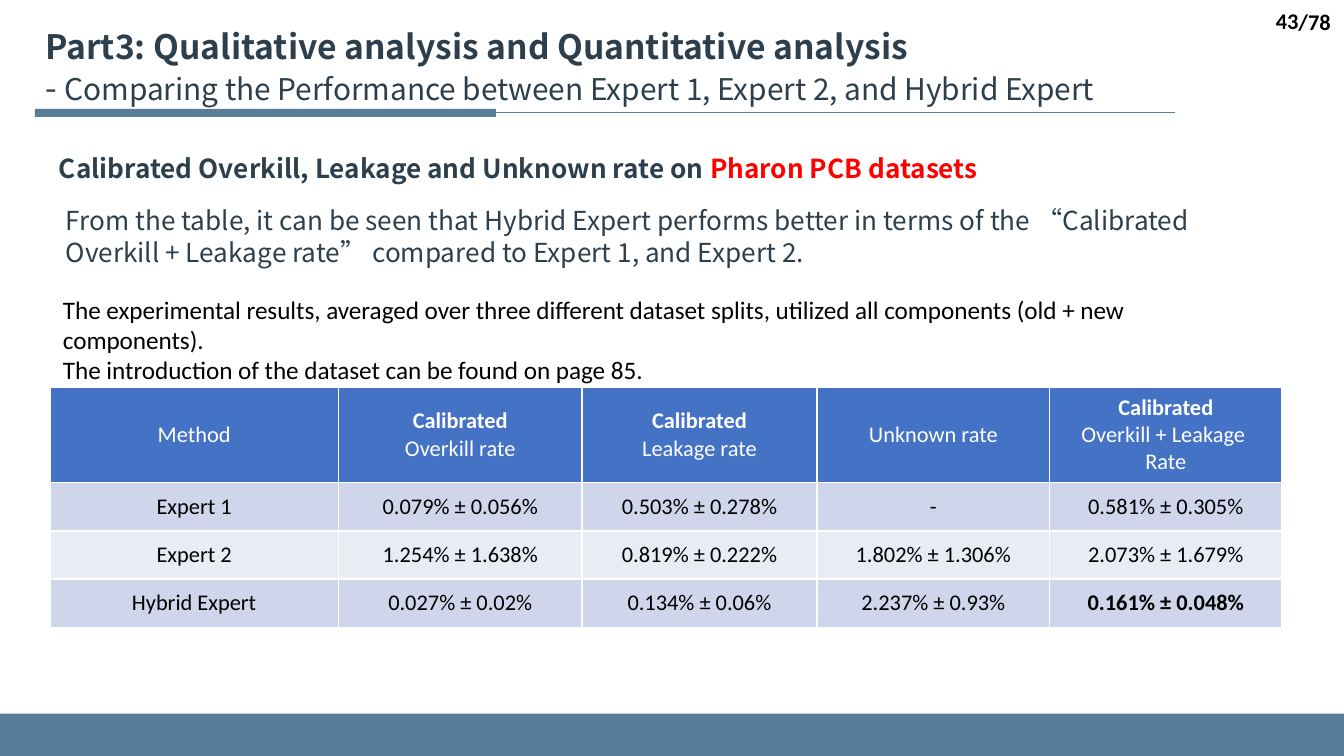
"""Build the slide that compares Expert 1, Expert 2 and Hybrid Expert."""
from lxml.etree import SubElement
from pptx import Presentation
from pptx.dml.color import RGBColor
from pptx.enum.shapes import MSO_CONNECTOR as Connector, MSO_SHAPE as Shape
from pptx.enum.text import MSO_ANCHOR as Anchor, PP_ALIGN as Align
from pptx.oxml.ns import qn
from pptx.util import Inches, Pt

STEEL = RGBColor(0x59, 0x7D, 0x98)
NAVY = RGBColor(0x2D, 0x3F, 0x4C)
RED = RGBColor(0xFF, 0, 0)
BLACK = RGBColor(0, 0, 0)
WHITE = RGBColor(0xFF, 0xFF, 0xFF)
HEADER_BLUE = RGBColor(0x44, 0x72, 0xC4)
BANDS = [RGBColor(0xCF, 0xD5, 0xEA), RGBColor(0xE9, 0xEB, 0xF5)]
NOTO, CALIBRI = "Noto Sans CJK SC", "Calibri"

TITLE = "Part3: Qualitative analysis and Quantitative analysis"
SUBTITLE = "Comparing the Performance between Expert 1, Expert 2, and Hybrid Expert"
HEADING = "Calibrated Overkill, Leakage and Unknown rate on "
DATASET = "Pharon PCB datasets"
FINDING = ("From the table, it can be seen that Hybrid Expert performs better in terms of the "
           "“Calibrated Overkill + Leakage rate” compared to Expert 1, and Expert 2.")
SETUP = [
    "The experimental results, averaged over three different dataset splits, "
    "utilized all components (old + new components).",
    "The introduction of the dataset can be found on page 85.",
]
PAGE, PAGE_TOTAL = "43", "/78"
COLUMNS = [
    (["Method"], 2.15),
    (["Calibrated", "Overkill rate"], 1.81),
    (["Calibrated", "Leakage rate"], 1.75),
    (["Unknown rate"], 1.73),
    (["Calibrated", "Overkill + Leakage ", "Rate"], 1.73),
]
RESULTS = [
    ["Expert 1", "0.079% ± 0.056%", "0.503% ± 0.278%", "-", "0.581% ± 0.305%"],
    ["Expert 2", "1.254% ± 1.638%", "0.819% ± 0.222%", "1.802% ± 1.306%", "2.073% ± 1.679%"],
    ["Hybrid Expert", "0.027% ± 0.02%", "0.134% ± 0.06%", "2.237% ± 0.93%", "0.161% ± 0.048%"],
]
BEST = "0.161% ± 0.048%"
HEADER_HEIGHT, ROW_HEIGHT = 0.7, 0.36
SLIDE_WIDTH = 10
SLIDE_HEIGHT = SLIDE_WIDTH * 9 / 16


def set_font(font, name, size, color, bold=False):
    font.name, font.size, font.bold = name, Pt(size), bold
    font.color.rgb = color


def add_bar(slide, left, top, width, height):
    bar = slide.shapes.add_shape(Shape.RECTANGLE, *map(Inches, (left, top, width, height)))
    bar.shadow.inherit = False
    bar.fill.solid()
    bar.fill.fore_color.rgb = STEEL
    bar.line.fill.background()


def add_text(slide, box, lines, name, size, color, bold=False,
             align=Align.LEFT, anchor=Anchor.TOP, spacing=None):
    frame = slide.shapes.add_textbox(*map(Inches, box)).text_frame
    frame.word_wrap, frame.vertical_anchor = True, anchor
    for index, line in enumerate(lines):
        paragraph = frame.add_paragraph() if index else frame.paragraphs[0]
        paragraph.alignment = align
        if spacing:
            paragraph.line_spacing = Pt(spacing)
        set_font(paragraph.font, name, size, color, bold)
        paragraph.add_run().text = line
    return frame.paragraphs[0]


def fill_cell(cell, lines, fill, color):
    cell.vertical_anchor = Anchor.MIDDLE
    cell.text = "\n".join(lines)
    for paragraph in cell.text_frame.paragraphs:
        paragraph.alignment = Align.CENTER
        bold = paragraph.text in ("Calibrated", BEST)
        set_font(paragraph.font, CALIBRI, 12, color, bold)
    properties = cell._tc.get_or_add_tcPr()
    for side in ("lnL", "lnR", "lnT", "lnB"):
        border = SubElement(properties, qn(f"a:{side}"), w=str(Pt(1)))
        SubElement(SubElement(border, qn("a:solidFill")), qn("a:srgbClr"), val=str(WHITE))
    cell.fill.solid()
    cell.fill.fore_color.rgb = fill


def add_results(slide):
    width = sum(column_width for _, column_width in COLUMNS)
    height = HEADER_HEIGHT + ROW_HEIGHT * len(RESULTS)
    table = slide.shapes.add_table(len(RESULTS) + 1, len(COLUMNS),
                                   *map(Inches, (0.37, 2.88, width, height))).table
    table.rows[0].height = Inches(HEADER_HEIGHT)
    for c, (header, column_width) in enumerate(COLUMNS):
        table.columns[c].width = Inches(column_width)
        fill_cell(table.cell(0, c), header, HEADER_BLUE, WHITE)
    for r, result in enumerate(RESULTS, 1):
        table.rows[r].height = Inches(ROW_HEIGHT)
        for c, value in enumerate(result):
            cell = table.cell(r, c)
            fill_cell(cell, [value], BANDS[(r - 1) % 2], BLACK)
            if c:
                cell.margin_left = cell.margin_right = Inches(0.13)
                cell.margin_top = cell.margin_bottom = Inches(0.07)


def main():
    deck = Presentation()
    deck.slide_width, deck.slide_height = Inches(SLIDE_WIDTH), Inches(SLIDE_HEIGHT)
    slide = deck.slides.add_slide(deck.slide_layouts[6])

    footer_top = 5.31
    add_bar(slide, 0, footer_top, SLIDE_WIDTH, SLIDE_HEIGHT - footer_top)
    rule = slide.shapes.add_connector(Connector.STRAIGHT, *map(Inches, (8.74, 0.84, 0.27, 0.84)))
    rule.line.color.rgb, rule.line.width = STEEL, Pt(0.5)
    SubElement(rule._element.spPr, qn("a:effectLst"))
    add_bar(slide, 0.26, 0.81, 3.43, 0.06)

    add_results(slide)

    title = add_text(slide, (0.24, 0.14, 9.66, 0.71), [TITLE], NOTO, 18, NAVY, True, spacing=22)
    title.add_line_break()
    for text, size in (("- ", 18), (SUBTITLE, 16)):
        run = title.add_run()
        run.text, run.font.bold, run.font.size = text, False, Pt(size)

    heading = add_text(slide, (0.34, 1.08, 7.42, 0.34), [HEADING], NOTO, 14, NAVY, True, spacing=17)
    dataset = heading.add_run()
    dataset.text, dataset.font.color.rgb = DATASET, RED

    add_text(slide, (0.37, 2.14, 9.13, 0.56), SETUP, CALIBRI, 13.5, BLACK)
    add_text(slide, (0.39, 1.47, 8.88, 0.57), [FINDING], NOTO, 14, NAVY, spacing=17)
    for box, number in (((9.54, 0.01, 0.46, 0.3), PAGE_TOTAL), ((7.75, 0, 2.01, 0.31), PAGE)):
        add_text(slide, box, [number], CALIBRI, 12, BLACK, True, Align.RIGHT, Anchor.MIDDLE)

    deck.save("out.pptx")


if __name__ == "__main__":
    main()
